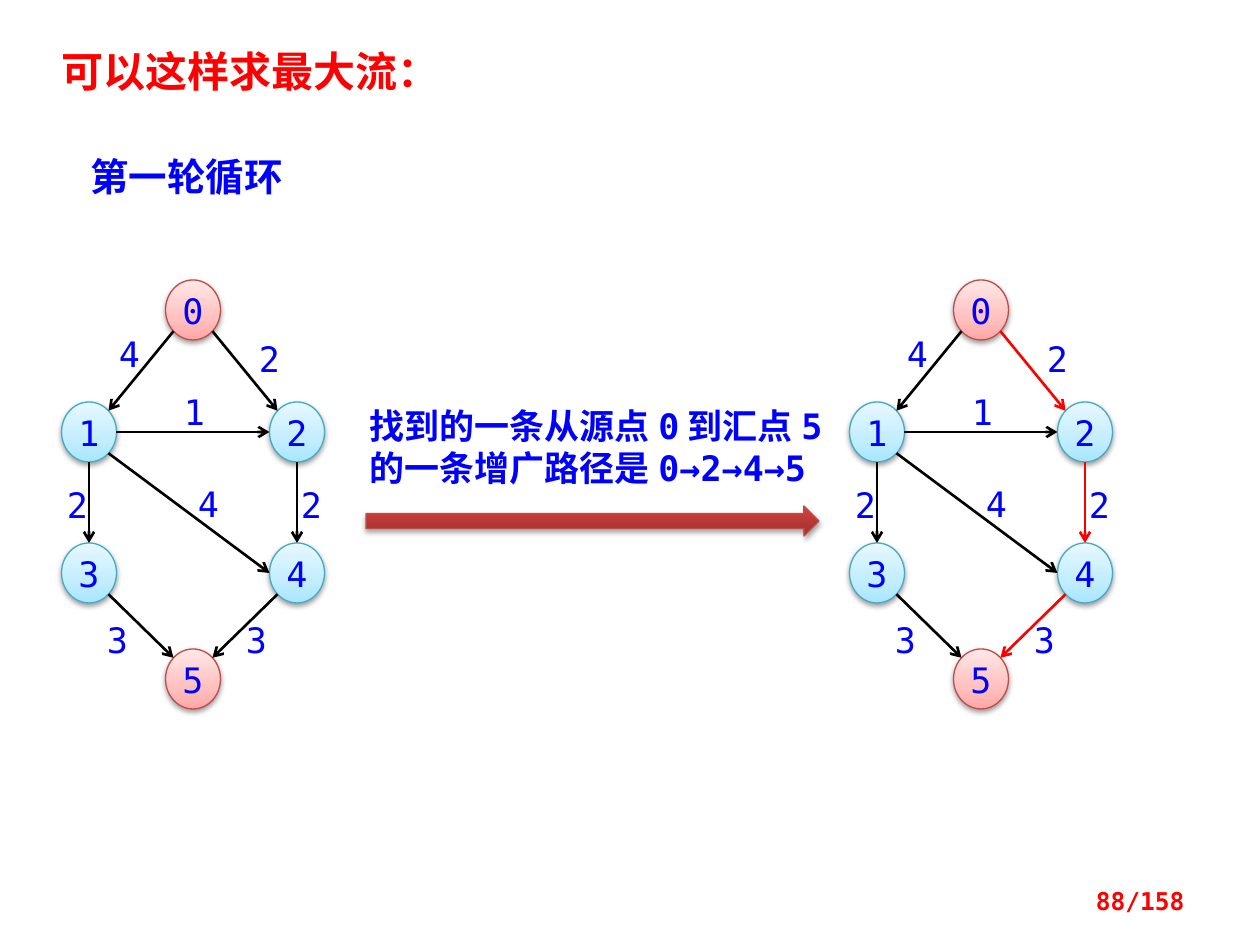
import copy
import math

import lxml.etree
import pptx
import pptx.dml.color
import pptx.enum.shapes
import pptx.enum.text
import pptx.oxml
import pptx.oxml.ns
import pptx.util

qn = pptx.oxml.ns.qn
SHAPE = pptx.enum.shapes.MSO_SHAPE
ALIGN = pptx.enum.text.PP_ALIGN
ANCHOR = pptx.enum.text.MSO_ANCHOR

MONO = "DejaVu Sans Mono"
CJK = "Noto Sans CJK SC"
BLUE, RED, BLACK, WHITE = "0000FF", "FF0000", "000000", "FFFFFF"
PINK_STOPS = [(0, "FFA6A5"), (0.35, "FFC0BF"), (1, "FFE7E7")]
CYAN_STOPS = [(0, "A7E6FF"), (0.35, "C1EDFF"), (1, "E7F8FF")]
ARROW_STOPS = [(0, "9C2F2D"), (0.8, "CB3E3A"), (1, "CE3B37")]
PINK_LINE, CYAN_LINE = "BF4C48", "46AAC5"

NODE_W, NODE_H = 55, 60
LEFT, MIDDLE, RIGHT = 89, 193, 297
NODES = [(MIDDLE, 310), (LEFT, 432), (RIGHT, 432),
         (LEFT, 573), (RIGHT, 573), (MIDDLE, 679)]
TERMINALS = (0, 5)
EDGES = [
    (0, 1, (-1, 1), (1, -1)),
    (0, 2, (1, 1), (-1, -1)),
    (1, 2, (1, 0), (-1, 0)),
    (1, 4, (1, 1), (-1, 0)),
    (2, 4, (0, 1), (0, -1)),
    (1, 3, (0, 1), (0, -1)),
    (3, 5, (1, 1), (-1, -1)),
    (4, 5, (-1, 1), (1, -1)),
]
CAPACITIES = [("4", 120, 333), ("2", 260, 338), ("1", 185, 391), ("4", 199, 483),
              ("2", 302, 484), ("3", 247, 619), ("2", 68, 484), ("3", 108, 619)]
AUGMENTING_PATH = [(0, 2), (2, 4), (4, 5)]
GRAPH_GAP = 788


def px(n):
    return pptx.util.Emu(round(n * 914400 / 126))


def rgb(color):
    return pptx.dml.color.RGBColor.from_string(color)


def write(sp, text, size=20, font=MONO, color=BLUE, bold=False, align=ALIGN.LEFT,
          anchor=ANCHOR.TOP, wrap=True, inset=None):
    tf = sp.text_frame
    tf.word_wrap = wrap
    tf.vertical_anchor = anchor
    if inset is not None:
        tf.margin_left = tf.margin_right = tf.margin_bottom = 0
        tf.margin_top = px(inset)
    p = tf.paragraphs[0]
    p.alignment = align
    r = p.add_run()
    r.text = text
    r.font.size = pptx.util.Pt(size)
    r.font.bold = bold
    r.font.name = font
    r.font.color.rgb = rgb(color)
    ea = lxml.etree.SubElement(r.font._element, qn("a:ea"))
    ea.set("typeface", CJK)


def add_text(s, x, y, w, h, text, **fmt):
    write(s.shapes.add_textbox(px(x), px(y), px(w), px(h)), text, **fmt)


def add_glossy(shapes, kind, x, y, w, h, stops, line, alpha, dist):
    sp = shapes.add_shape(kind, px(x), px(y), px(w), px(h))
    sp.fill.gradient()
    sp.fill.gradient_angle = 90
    gs_list = sp._element.spPr.find(".//" + qn("a:gsLst"))
    gs_list.append(copy.deepcopy(gs_list[0]))
    for stop, (position, color) in zip(sp.fill.gradient_stops, stops):
        stop.position = position
        stop.color.rgb = rgb(color)
    sp.line.color.rgb = rgb(line)
    sp.line.width = pptx.util.Pt(0.75)
    sp.shadow.inherit = False
    effects = sp._element.spPr.find(qn("a:effectLst"))
    shadow = lxml.etree.SubElement(effects, qn("a:outerShdw"), blurRad="40000",
                                   dist=str(dist), dir="5400000", rotWithShape="0")
    tint = lxml.etree.SubElement(shadow, qn("a:srgbClr"), val=BLACK)
    lxml.etree.SubElement(tint, qn("a:alpha"), val=str(alpha * 1000))
    return sp


def add_capacity(shapes, text, x, y):
    sp = shapes.add_shape(SHAPE.RECTANGLE, px(x), px(y), px(19), px(40))
    sp.fill.solid()
    sp.fill.fore_color.rgb = rgb(WHITE)
    sp.line.fill.background()
    sp.shadow.inherit = False
    write(sp, text, align=ALIGN.CENTER, wrap=False, inset=0)


def add_node(shapes, number, x, y):
    stops, line = (PINK_STOPS, PINK_LINE) if number in TERMINALS else (CYAN_STOPS, CYAN_LINE)
    sp = add_glossy(shapes, SHAPE.OVAL, x - NODE_W / 2, y - NODE_H / 2, NODE_W, NODE_H,
                    stops, line, 38, 20000)
    write(sp, str(number), align=ALIGN.CENTER, anchor=ANCHOR.MIDDLE, wrap=False, inset=1)


def rim_point(number, side, dx):
    x, y = NODES[number]
    reach = 1 / math.hypot(*side)
    return (px(x + dx + side[0] * reach * NODE_W / 2),
            px(y + side[1] * reach * NODE_H / 2))


def add_edge(shapes, start, end, color):
    cxn = shapes.add_connector(pptx.enum.shapes.MSO_CONNECTOR.STRAIGHT, *start, *end)
    cxn.line.color.rgb = rgb(color)
    cxn.line.width = pptx.util.Pt(1.5)
    lxml.etree.SubElement(cxn.line._get_or_add_ln(), qn("a:tailEnd"), type="arrow")
    lxml.etree.SubElement(cxn._element.spPr, qn("a:effectLst"))


def add_graph(s, dx, highlighted):
    shapes = s.shapes.add_group_shape().shapes
    for text, x, y in CAPACITIES:
        add_capacity(shapes, text, x + dx, y)
    for number, (x, y) in enumerate(NODES):
        add_node(shapes, number, x + dx, y)
    for a, b, side_a, side_b in EDGES:
        color = RED if (a, b) in highlighted else BLACK
        add_edge(shapes, rim_point(a, side_a, dx), rim_point(b, side_b, dx), color)


def main():
    prs = pptx.Presentation()
    prs.slide_width, prs.slide_height = px(1260), px(945)
    s = prs.slides.add_slide(prs.slide_layouts[6])
    add_text(s, 49, 39, 581, 63, "可以这样求最大流：", size=24, font=CJK, color=RED, bold=True)
    add_graph(s, 0, [])
    add_text(s, 357, 398, 512, 97, "找到的一条从源点0到汇点5的一条增广路径是0→2→4→5", bold=True)
    add_graph(s, GRAPH_GAP, AUGMENTING_PATH)
    add_glossy(s.shapes, SHAPE.RIGHT_ARROW, 366, 506, 453, 30, ARROW_STOPS, PINK_LINE, 35, 23000)
    add_text(s, 78, 147, 237, 59, "第一轮循环", size=22, font=CJK, bold=True)
    add_text(s, 903, 876, 294, 50, "88/158", size=14, color=RED, bold=True,
             align=ALIGN.RIGHT, anchor=ANCHOR.MIDDLE)
    prs.save("out.pptx")


if __name__ == "__main__":
    main()
